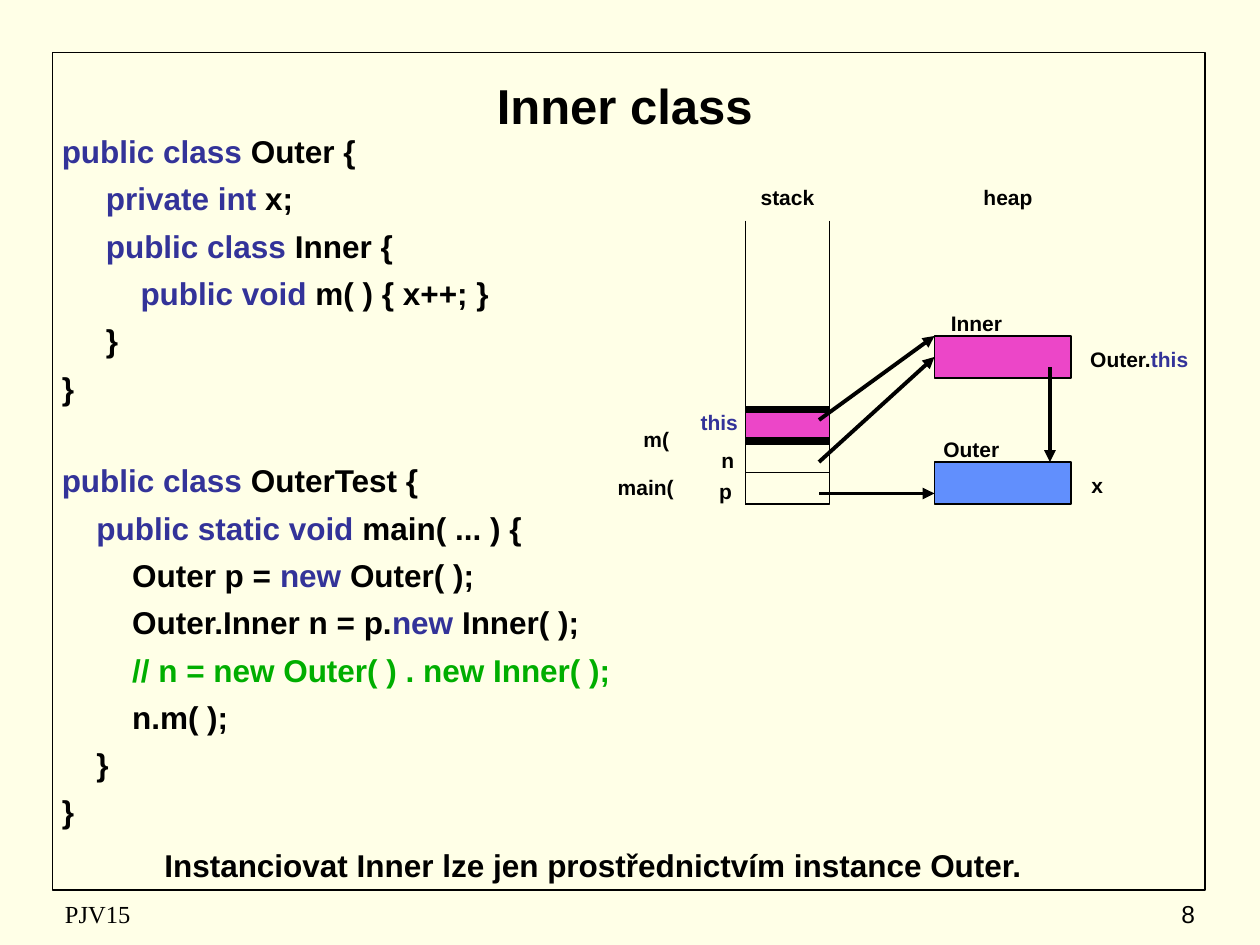
from lxml.etree import SubElement
from pptx import Presentation
from pptx.dml.color import RGBColor
from pptx.enum.shapes import MSO_CONNECTOR, MSO_SHAPE
from pptx.enum.text import MSO_ANCHOR, PP_ALIGN
from pptx.oxml.ns import qn
from pptx.util import Emu, Pt

PX = 7620  # EMU in one px, 120 px to the inch

COLORS = {
    "paper": "FFFFE7",
    "ink": "000000",
    "keyword": "333399",
    "comment": "00AE00",
    "inner": "EC46C8",
    "outer": "618FFD",
}

CODE_INDENT = 7
CODE_GAP = 5.4  # points between lines of code
CODE_PITCH = 26.1  # points from one line of code to the next

# Each line: indent in px, then its spans
OUTER_CLASS = [
    (0, ("public class", "keyword"), " Outer {"),
    (42, ("private int", "keyword"), " x;"),
    (42, ("public class ", "keyword"), "Inner {"),
    (75, ("public void", "keyword"), " m( ) { x++; }"),
    (42, "}"),
    (0, "}"),
]
TEST_CLASS = [
    (0, ("public class ", "keyword"), "OuterTest {"),
    (33, ("public static void", "keyword"), " main( ... ) {"),
    (67, "Outer p = ", ("new ", "keyword"), "Outer( );"),
    (67, "Outer.Inner n = p.", ("new ", "keyword"), "Inner( );"),
    (67, ("// n = new Outer( ) . new Inner( );", "comment")),
    (67, "n.m( );"),
    (33, "}"),
    (0, "}"),
]

# Left, top, width, indent, spans
LABELS = [
    (570, 446, 90, 0, ["main("]),
    (580, 400, 90, 0, ["m("]),
    (630, 450, 90, 32, ["p"]),
    (640, 420, 90, 16, ["n"]),
    (640, 384, 90, 0, [("this", "keyword")]),
    (880, 410, 90, 0, ["Outer"]),
    (870, 290, 120, 0, ["Inner"]),
    (1000, 444, 90, 0, ["x"]),
    (1010, 324, 150, 0, ["Outer.", ("this", "keyword")]),
    (710, 170, 80, 0, ["stack"]),
    (920, 170, 80, 0, ["heap"]),
]

STACK_LEFT, STACK_RIGHT = 710, 790
STACK_TOP, STACK_BOTTOM = 210, 480
THIS_TOP, THIS_BOTTOM = 390, 420
ARROW_START = 780
HEAP_LEFT = 890


def rgb(name):
    return RGBColor.from_string(COLORS[name])


def px(*lengths):
    return [Emu(length * PX) for length in lengths]


def add_text_box(page, left, top, width, height, anchor=MSO_ANCHOR.TOP):
    """Return the text frame of a new wrapping text box."""
    frame = page.shapes.add_textbox(*px(left, top, width, height)).text_frame
    frame.word_wrap = True
    frame.vertical_anchor = anchor
    return frame


def write(para, spans, size=18, font="Arial", bold=True, align=PP_ALIGN.LEFT,
          indent=0, before=0):
    """Fill a paragraph with spans, each a text or a (text, colour) pair."""
    para.alignment = align
    para.space_before = Pt(before)
    if indent:
        para._p.get_or_add_pPr().set("marL", str(indent * PX))
    for item in spans:
        text, color = (item, "ink") if isinstance(item, str) else item
        span = para.add_run()
        span.text = text
        span.font.name = font
        span.font.size = Pt(size)
        span.font.bold = bold
        span.font.color.rgb = rgb(color)


def add_line_of_text(page, bounds, spans, anchor=MSO_ANCHOR.TOP, **style):
    frame = add_text_box(page, *bounds, anchor=anchor)
    write(frame.paragraphs[0], spans, **style)


def add_code(page):
    frame = add_text_box(page, 40, 120, 580, 660)
    for number, (indent, *spans) in enumerate(OUTER_CLASS + TEST_CLASS):
        para = frame.add_paragraph() if number else frame.paragraphs[0]
        before = CODE_GAP if number else 0
        if number == len(OUTER_CLASS):
            before += CODE_PITCH
        write(para, spans, indent=CODE_INDENT + indent, before=before)


def add_box(page, left, top, width, height, fill=None, weight=0.75):
    box = page.shapes.add_shape(MSO_SHAPE.RECTANGLE, *px(left, top, width, height))
    box.shadow.inherit = False
    if fill:
        box.fill.solid()
        box.fill.fore_color.rgb = rgb(fill)
    else:
        box.fill.background()
    box.line.color.rgb = rgb("ink")
    box.line.width = Pt(weight)
    return box


def add_line(page, start, end, weight=0.75, arrow=False):
    line = page.shapes.add_connector(MSO_CONNECTOR.STRAIGHT, *px(*start, *end))
    line.line.color.rgb = rgb("ink")
    line.line.width = Pt(weight)
    if arrow:
        SubElement(line.line._get_or_add_ln(), qn("a:tailEnd"), type="triangle")
    SubElement(line._element.spPr, qn("a:effectLst"))
    return line


def add_stack(page):
    width = STACK_RIGHT - STACK_LEFT
    add_box(page, STACK_LEFT, THIS_TOP, width, THIS_BOTTOM - THIS_TOP, "inner")
    main_frame = add_box(page, STACK_LEFT, THIS_BOTTOM, width,
                         STACK_BOTTOM - THIS_BOTTOM)
    for side in (STACK_LEFT, STACK_RIGHT):
        add_line(page, (side, STACK_TOP), (side, STACK_BOTTOM))
    middle = (THIS_BOTTOM + STACK_BOTTOM) // 2
    levels = [(STACK_BOTTOM, 0.75), (middle, 1), (THIS_BOTTOM, 4.5), (THIS_TOP, 4.5)]
    for level, weight in levels:
        line = add_line(page, (STACK_LEFT, level), (STACK_RIGHT, level), weight)
        if level == middle:
            line.begin_connect(main_frame, 1)
            line.end_connect(main_frame, 3)


def add_heap(page):
    """Draw the two objects and the references that lead to them."""
    inner = add_box(page, HEAP_LEFT, 320, 130, 40, "inner")
    add_box(page, HEAP_LEFT, 440, 130, 40, "outer")
    references = [
        ((ARROW_START, 470), (HEAP_LEFT, 470)),
        ((ARROW_START, 400), (HEAP_LEFT, 320)),
        ((1000, 350), (1000, 440)),
    ]
    for start, end in references:
        add_line(page, start, end, 2.25, arrow=True)
    n_reference = add_line(page, (ARROW_START, 440), (HEAP_LEFT, 340), 2.25, arrow=True)
    n_reference.end_connect(inner, 1)


def main():
    deck = Presentation()
    deck.slide_width, deck.slide_height = px(1200, 900)
    page = deck.slides.add_slide(deck.slide_layouts[6])
    page.background.fill.solid()
    page.background.fill.fore_color.rgb = rgb("paper")

    add_box(page, 50, 50, 1098, 798, weight=1)
    add_line_of_text(page, (60, 60, 1070, 80), ["Inner class"], size=28,
                     align=PP_ALIGN.CENTER, anchor=MSO_ANCHOR.MIDDLE)
    add_code(page)
    add_stack(page)
    add_heap(page)
    for left, top, width, indent, spans in LABELS:
        add_line_of_text(page, (left, top, width, 36), spans, size=12,
                         align=PP_ALIGN.CENTER, indent=indent)
    add_line_of_text(page, (50, 800, 1030, 48),
                     ["Instanciovat Inner lze jen prostřednictvím instance Outer."],
                     align=PP_ALIGN.CENTER)
    add_line_of_text(page, (50, 850, 380, 40), ["PJV15"], size=14, bold=False,
                     font="Times New Roman", anchor=MSO_ANCHOR.MIDDLE)
    add_line_of_text(page, (900, 850, 250, 40), ["8"], size=14, bold=False,
                     align=PP_ALIGN.RIGHT, anchor=MSO_ANCHOR.MIDDLE)
    deck.save("out.pptx")


if __name__ == "__main__":
    main()
